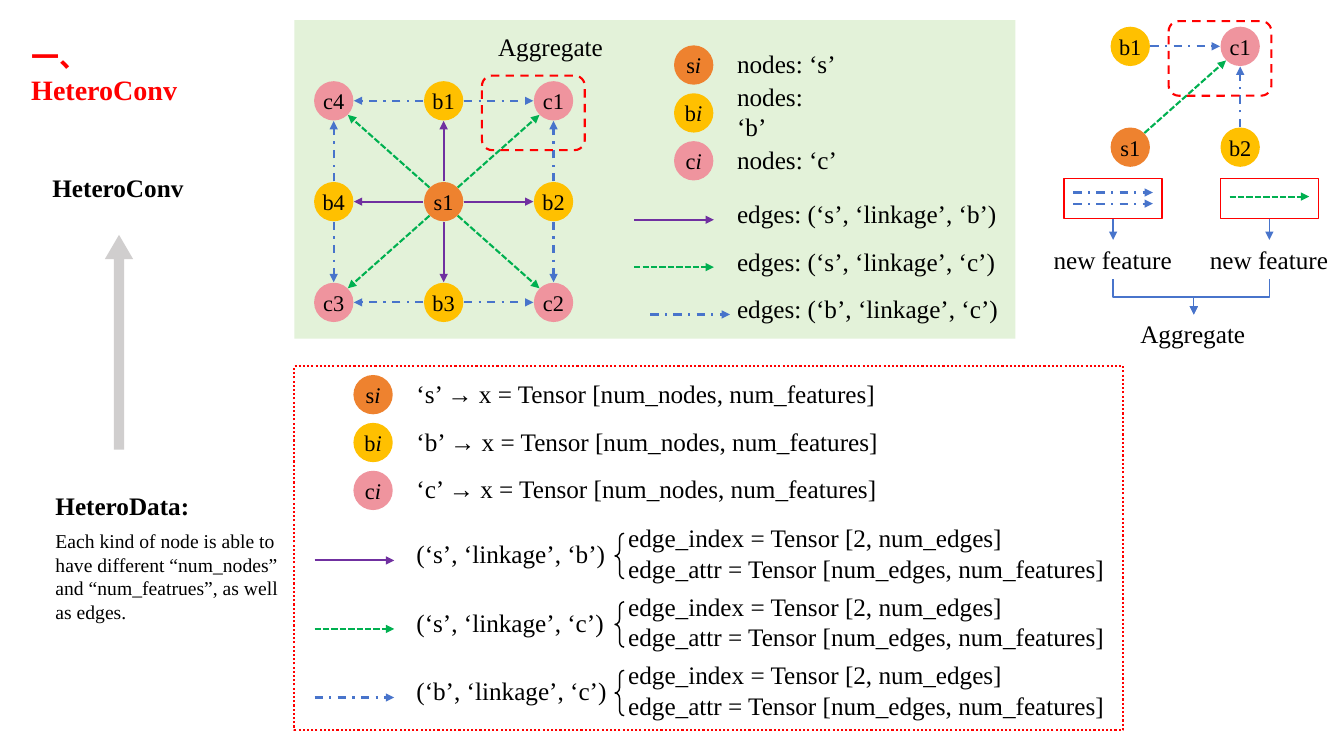
from lxml.etree import SubElement
from pptx import Presentation
from pptx.dml.color import RGBColor
from pptx.enum.dml import MSO_LINE
from pptx.enum.shapes import MSO_CONNECTOR, MSO_SHAPE
from pptx.enum.text import MSO_ANCHOR, MSO_AUTO_SIZE, PP_ALIGN
from pptx.oxml.ns import qn
from pptx.util import Inches, Pt

BLACK = RGBColor(0x00, 0x00, 0x00)
RED = RGBColor(0xFF, 0x00, 0x00)
ORANGE = RGBColor(0xEE, 0x82, 0x2F)
YELLOW = RGBColor(0xFF, 0xC0, 0x00)
PINK = RGBColor(0xEF, 0x94, 0x9E)
PURPLE = RGBColor(0x70, 0x30, 0xA0)
GREEN = RGBColor(0x00, 0xB0, 0x50)
BLUE = RGBColor(0x48, 0x74, 0xCB)
PALE_GREEN = RGBColor(0xE3, 0xF2, 0xD9)
GREY = RGBColor(0xD0, 0xCE, 0xCE)

NODE_COLORS = {"s": ORANGE, "b": YELLOW, "c": PINK}
EDGE_STYLES = {
    "sb": {"color": PURPLE},
    "sc": {"color": GREEN, "dash": MSO_LINE.SQUARE_DOT},
    "bc": {"color": BLUE, "dash": MSO_LINE.DASH_DOT},
}
NODE_SIZE = 0.39
COLUMN_STEP, ROW_STEP = 1.09, 1.0
ARROW_LENGTH = 0.79
TEXT_HEIGHT = 0.38


class SlideBuilder:
    """Keeps the text style and the slide being drawn."""

    def __init__(self, page, font="Times New Roman"):
        self.page = page
        self.font = font

    def add_span(self, para, content, size=18, color=BLACK, **extra):
        span = para.add_run()
        span.text = content
        style = {"name": self.font, "size": Pt(size), **extra}
        for name, value in style.items():
            setattr(span.font, name, value)
        span.font.color.rgb = color

    def set_frame(self, frame, margins, **values):
        sides = ("margin_left", "margin_top", "margin_right", "margin_bottom")
        values.update(zip(sides, map(Inches, margins)))
        for name, value in values.items():
            setattr(frame, name, value)

    def title(self, content, left, top, width, height):
        box = self.page.shapes.title
        box.left, box.top = Inches(left), Inches(top)
        box.width, box.height = Inches(width), Inches(height)
        self.set_frame(box.text_frame, (0.31, 0.39, 0.1, 0.05), word_wrap=True,
                       auto_size=MSO_AUTO_SIZE.NONE, vertical_anchor=MSO_ANCHOR.TOP)
        para = box.text_frame.paragraphs[0]
        para.alignment = PP_ALIGN.LEFT
        self.add_span(para, content, size=20, color=RED, bold=True)

    def text(self, lines, left, top, width, height=TEXT_HEIGHT, wrap=False,
             indent=0.04, align=PP_ALIGN.LEFT, gap=0):
        """Each line is a pair of content and format values."""
        box = self.page.shapes.add_textbox(
            Inches(left), Inches(top), Inches(width), Inches(height))
        frame = box.text_frame
        self.set_frame(frame, (indent, 0.04, 0.04, 0.04), word_wrap=wrap,
                       auto_size=MSO_AUTO_SIZE.SHAPE_TO_FIT_TEXT,
                       vertical_anchor=MSO_ANCHOR.MIDDLE)
        for number, (content, style) in enumerate(lines):
            para = frame.add_paragraph() if number else frame.paragraphs[0]
            para.alignment = align
            if gap and number < len(lines) - 1:
                para.space_after = Pt(gap)
            self.add_span(para, content, **style)
        return box

    def label(self, content, left, top, width):
        return self.text([(content, {})], left, top, width)

    def shape(self, kind, left, top, width, height, fill=None, line=None,
              weight=1.5, dash=None, adjust=()):
        shape = self.page.shapes.add_shape(
            kind, Inches(left), Inches(top), Inches(width), Inches(height))
        shape.shadow.inherit = False
        if fill:
            shape.fill.solid()
            shape.fill.fore_color.rgb = fill
        else:
            shape.fill.background()
        if line:
            shape.line.color.rgb = line
            shape.line.width = Pt(weight)
            if dash:
                shape.line.dash_style = dash
        else:
            shape.line.fill.background()
        for index, value in enumerate(adjust):
            shape.adjustments[index] = value
        return shape

    def node(self, name, x, y):
        corner = x - NODE_SIZE / 2, y - NODE_SIZE / 2
        circle = self.shape(MSO_SHAPE.OVAL, *corner, NODE_SIZE, NODE_SIZE,
                            fill=NODE_COLORS[name[0]])
        self.set_frame(circle.text_frame, (0, 0, 0, 0), word_wrap=True,
                       vertical_anchor=MSO_ANCHOR.MIDDLE)
        para = circle.text_frame.paragraphs[0]
        para.alignment = PP_ALIGN.CENTER
        if name.endswith("i"):
            self.add_span(para, name[0], size=16)
            self.add_span(para, "i", size=16, italic=True)
        else:
            self.add_span(para, name, size=16)

    def arrow(self, start, end, color, dash=None, weight=1.5, kind=MSO_CONNECTOR.STRAIGHT):
        arrow = self.page.shapes.add_connector(kind, *map(Inches, (*start, *end)))
        arrow.line.color.rgb = color
        arrow.line.width = Pt(weight)
        if dash:
            arrow.line.dash_style = dash
        properties = arrow._element.spPr
        SubElement(properties.find(qn("a:ln")), qn("a:tailEnd"), type="triangle")
        SubElement(properties, qn("a:effectLst"))
        return arrow

    def elbow(self, start, end):
        """Runs down, across and down again: a turned horizontal elbow."""
        (x1, y1), (x2, y2) = start, end
        side = 1 if x2 > x1 else -1
        middle_x, middle_y = (x1 + x2) / 2, (y1 + y2) / 2
        reach_x, reach_y = side * (y2 - y1) / 2, abs(x2 - x1) / 2
        arrow = self.arrow((middle_x + reach_x, middle_y - reach_y),
                           (middle_x - reach_x, middle_y + reach_y),
                           BLUE, weight=1, kind=MSO_CONNECTOR.ELBOW)
        turn = 270 if side > 0 else 90
        arrow._element.spPr.find(qn("a:xfrm")).set("rot", str(turn * 60000))

    def sample_edge(self, kind, left, y):
        self.arrow((left, y), (left + ARROW_LENGTH, y), **EDGE_STYLES[kind])

    def graph(self, left, top, cells, edges):
        """Nodes sit on a grid of columns and rows; edges touch the circles."""
        centers = {name: (left + column * COLUMN_STEP, top + row * ROW_STEP)
                   for name, (column, row) in cells.items()}
        for name, center in centers.items():
            self.node(name, *center)
        for source, target in (edge.split("-") for edge in edges.split()):
            steps = [(b > a) - (b < a) for a, b in zip(centers[source], centers[target])]
            offset = 0.14 if all(steps) else 0.2
            start = [c + s * offset for c, s in zip(centers[source], steps)]
            end = [c - s * offset for c, s in zip(centers[target], steps)]
            self.arrow(start, end, **EDGE_STYLES[source[0] + target[0]])

    def focus_frame(self, left, top):
        self.shape(MSO_SHAPE.ROUNDED_RECTANGLE, left, top, 1.02, 0.74, line=RED,
                   dash=MSO_LINE.DASH, adjust=[0.138])


def main():
    deck = Presentation()
    deck.slide_width, deck.slide_height = Inches(13.33), Inches(7.5)
    page = deck.slides.add_slide(deck.slide_layouts[5])
    build = SlideBuilder(page)

    # Left column: title, arrow and explanation
    build.title("一、HeteroConv", 0, 0, 2.3, 1.1)
    build.text([("HeteroConv", {"bold": True})], 0.41, 1.67, 1.52, wrap=True,
               align=PP_ALIGN.CENTER)
    up_arrow = build.shape(MSO_SHAPE.DOWN_ARROW, 1.04, 2.33, 0.28, 2.13, fill=GREY,
                           adjust=[0.357, 0.857])
    up_arrow.rotation = 180
    explanation = ("Each kind of node is able to have different “num_nodes” "
                   "and “num_featrues”, as well as edges.")
    build.text([("HeteroData:", {"bold": True}), (explanation, {"size": 14})],
               0.41, 4.82, 2.48, 1.41, wrap=True, indent=0.14, gap=6)

    # Green panel: full graph
    build.shape(MSO_SHAPE.RECTANGLE, 2.92, 0.2, 7.15, 3.16, fill=PALE_GREEN)
    build.graph(3.31, 1.0,
                {"c4": (0, 0), "b1": (1, 0), "c1": (2, 0), "b4": (0, 1), "s1": (1, 1),
                 "b2": (2, 1), "c3": (0, 2), "b3": (1, 2), "c2": (2, 2)},
                "s1-b1 s1-b2 s1-b3 s1-b4 b1-c1 b1-c4 b2-c1 b2-c2 "
                "b3-c2 b3-c3 b4-c3 b4-c4 s1-c1 s1-c2 s1-c3 s1-c4")
    build.label("Aggregate", 4.9, 0.27, 1.13)
    build.focus_frame(4.78, 0.75)

    # Legend and tensor rows for the node kinds
    build.shape(MSO_SHAPE.RECTANGLE, 2.92, 3.63, 8.22, 3.61, line=RED,
                dash=MSO_LINE.ROUND_DOT)
    for row, kind in enumerate("sbc"):
        drop = row * 0.475
        build.node(f"{kind}i", 6.88, 0.645 + drop)
        build.label(f"nodes: ‘{kind}’", 7.27, 0.44 + drop, 1.08)
        build.node(f"{kind}i", 3.7, 3.915 + drop)
        build.label(f"‘{kind}’ → x = Tensor [num_nodes, num_features]",
                    4.09, 3.71 + drop, 4.69)

    # Legend and tensor rows for the edge kinds
    for row, (kind, legend_left) in enumerate(zip(EDGE_STYLES, (6.29, 6.29, 6.45))):
        triple = f"(‘{kind[0]}’, ‘linkage’, ‘{kind[1]}’)"
        legend_drop, drop = row * 0.47, row * 0.68
        build.sample_edge(kind, legend_left, 2.18 + legend_drop)
        build.label(f"edges: {triple}", 7.27, 1.93 + legend_drop, 2.68)
        build.sample_edge(kind, 3.12, 5.56 + drop)
        build.label(triple, 4.09, 5.3 + drop, 1.97)
        build.text([("edge_index = Tensor [2, num_edges]", {}),
                    ("edge_attr = Tensor [num_edges, num_features]", {})],
                   6.19, 5.14 + drop, 4.85, 0.69)
        build.shape(MSO_SHAPE.LEFT_BRACE, 6.1, 5.29 + drop, 0.09, 0.45, line=BLACK,
                    weight=1, adjust=[0.561, 0.5])

    # Right column: aggregation at c1
    build.graph(11.21, 0.46, {"b1": (0, 0), "c1": (1, 0), "s1": (0, 1), "b2": (1, 1)},
                "b1-c1 b2-c1 s1-c1")
    build.focus_frame(11.59, 0.21)
    build.label("Aggregate", 11.27, 3.12, 1.13)
    for middle, kind, levels in ((11.04, "bc", (1.91, 2.02)), (12.59, "sc", (1.95,))):
        for level in levels:
            build.sample_edge(kind, middle - ARROW_LENGTH / 2, level)
        edge_box = build.shape(MSO_SHAPE.RECTANGLE, middle - 0.485, 1.77, 0.97, 0.4,
                               line=RED, weight=1)
        feature = build.label("new feature", middle - 0.63, 2.38, 1.26)
        arrow = build.arrow((middle, 2.17), (middle, 2.38), BLUE, weight=1)
        arrow.begin_connect(edge_box, 2)
        arrow.end_connect(feature, 0)
        build.elbow((middle, 2.77), (11.84, 3.12))

    deck.save("out.pptx")


if __name__ == "__main__":
    main()
